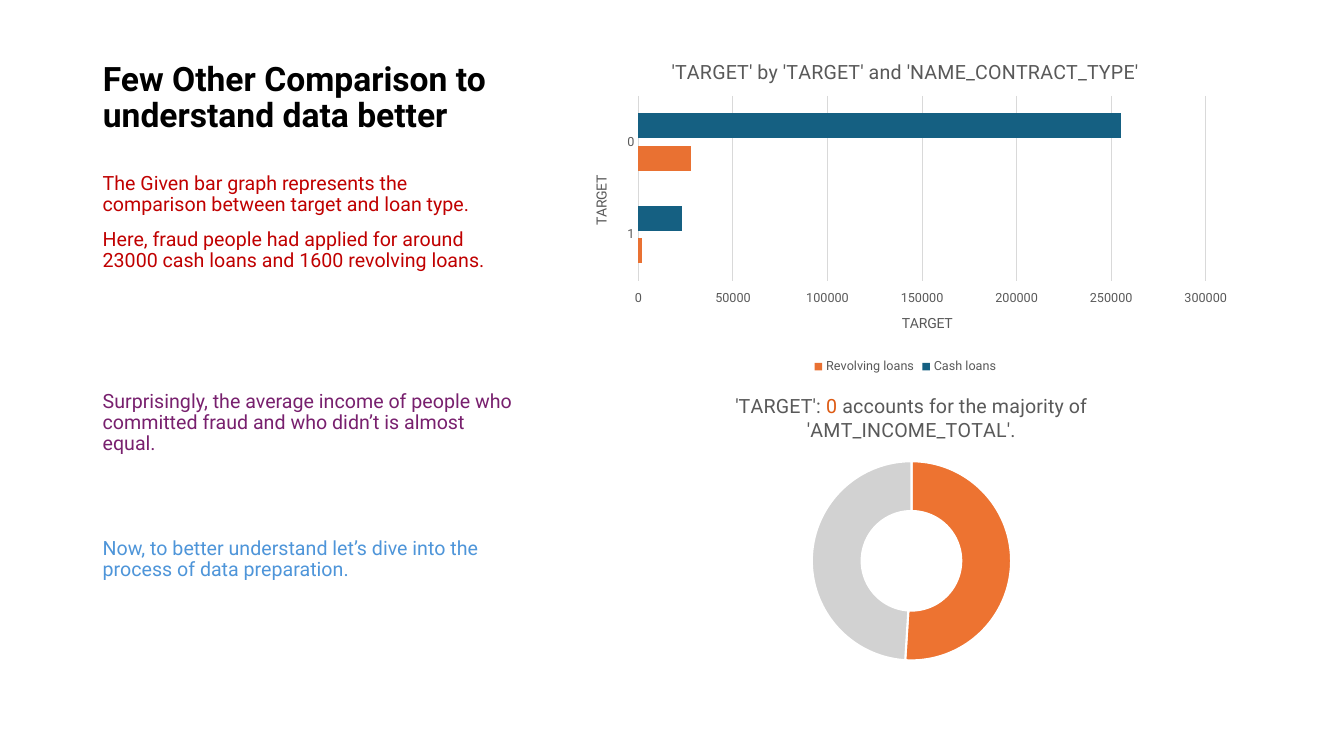
from lxml.etree import SubElement
from pptx import Presentation
from pptx.chart.data import CategoryChartData
from pptx.dml.color import RGBColor
from pptx.enum.chart import XL_CHART_TYPE, XL_LEGEND_POSITION, XL_TICK_LABEL_POSITION, XL_TICK_MARK
from pptx.enum.text import MSO_ANCHOR, MSO_AUTO_SIZE, PP_ALIGN
from pptx.oxml.ns import qn
from pptx.util import Inches, Pt

GRAY, ORANGE, BLUE, RED = "595959", "E97132", "156082", "C00000"


def color(value):
    return RGBColor.from_string(value)


def write(para, text, size=14, fill=GRAY, bold=False):
    """Add a formatted run to a paragraph."""
    run = para.add_run()
    run.text = text
    run.font.name = "Roboto"
    run.font.size = Pt(size)
    run.font.bold = bold
    run.font.color.rgb = color(fill)


deck = Presentation()
deck.slide_width, deck.slide_height = Inches(13.33), Inches(7.5)
slide = deck.slides.add_slide(deck.slide_layouts[5])

# Title
title = slide.shapes.title
title.left, title.top = Inches(0.92), Inches(0.5)
title.width, title.height = Inches(4.3), Inches(0.89)
frame = title.text_frame
frame.word_wrap = True
frame.auto_size = MSO_AUTO_SIZE.NONE
frame.vertical_anchor = MSO_ANCHOR.BOTTOM
para = frame.paragraphs[0]
para.alignment = PP_ALIGN.LEFT
para.line_spacing = 0.9
write(para, "Few Other Comparison to understand data better", size=24, fill="000000", bold=True)

# Findings: text, colour, space before
notes = [
    ("The Given bar graph represents the comparison between target and loan type.", RED, 10),
    ("Here, fraud people had applied for around 23000 cash loans and 1600 revolving loans.", RED, 10),
    ("Surprisingly, the average income of people who committed fraud and who didn’t is almost equal.",
     "78206E", 85),
    ("Now, to better understand let’s dive into the process of data preparation.", "4E95D9", 60),
]
box = slide.shapes.add_textbox(Inches(0.92), Inches(1.67), Inches(4.3), Inches(4.75))
frame = box.text_frame
frame.word_wrap = True
for i, (text, fill, gap) in enumerate(notes):
    para = frame.add_paragraph() if i else frame.paragraphs[0]
    para.line_spacing = 0.9
    para.space_before = Pt(gap)
    write(para, text, fill=fill)

# Bar chart of loans
data = CategoryChartData()
data.categories = ["0", "1"]
data.add_series("Cash loans", [255000, 23000])
data.add_series("Revolving loans", [28000, 2000])
bars = slide.shapes.add_chart(XL_CHART_TYPE.BAR_CLUSTERED, Inches(5.67), Inches(0.42),
                              Inches(6.62), Inches(3.33), data).chart
write(bars.chart_title.text_frame.paragraphs[0], "'TARGET' by 'TARGET' and 'NAME_CONTRACT_TYPE'")
plot = bars.plots[0]
plot.gap_width, plot.overlap = 140, -30
plot.vary_by_categories = False
for series, fill in zip(plot.series, (BLUE, ORANGE)):
    series.format.fill.solid()
    series.format.fill.fore_color.rgb = color(fill)

cats, vals = bars.category_axis, bars.value_axis
cats.reverse_order = True
cats.format.line.color.rgb = color("D9D9D9")
cats.format.line.width = Pt(0.75)
# Reversed categories put the high end at the bottom
vals.tick_label_position = XL_TICK_LABEL_POSITION.HIGH
vals.minimum_scale, vals.maximum_scale, vals.major_unit = 0, 300000, 50000
vals.format.line.fill.background()
vals.major_gridlines.format.line.color.rgb = color("D9D9D9")
vals.major_gridlines.format.line.width = Pt(0.75)
for axis in (cats, vals):
    axis.major_tick_mark = axis.minor_tick_mark = XL_TICK_MARK.NONE
    write(axis.axis_title.text_frame.paragraphs[0], "TARGET", size=10)

bars.has_legend = True
bars.legend.position = XL_LEGEND_POSITION.BOTTOM
bars.legend.include_in_layout = False
for part in (cats.tick_labels, vals.tick_labels, bars.legend):
    part.font.name = "Roboto"
    part.font.size = Pt(9)
    part.font.color.rgb = color(GRAY)

# Doughnut of income
data = CategoryChartData()
data.categories = ["1", "2"]
data.add_series("Series 1", [51, 49])
ring = slide.shapes.add_chart(XL_CHART_TYPE.DOUGHNUT, Inches(5.67), Inches(3.75),
                              Inches(6.74), Inches(2.95), data).chart
ring.has_legend = False
para = ring.chart_title.text_frame.paragraphs[0]
write(para, "'TARGET': ")
write(para, "0", fill="DD5A13")
write(para, " accounts for the majority of 'AMT_INCOME_TOTAL'.")
for i, fill in enumerate(("ED7331", "D2D2D2")):
    wedge = ring.plots[0].series[0].points[i].format
    wedge.fill.solid()
    wedge.fill.fore_color.rgb = color(fill)
    wedge.line.color.rgb = color("FFFFFF")
    wedge.line.width = Pt(1.5)

# Plot areas as shares of each chart: left, top, width, height
for chart, area in ((bars, (0.1, 0.16, 0.85, 0.55)), (ring, (0.35, 0.28, 0.3, 0.67))):
    chart.font.name = "Roboto"
    chart.font.size = Pt(10)
    chart.chart_title.include_in_layout = False
    zone = chart.plots[0]._element.getparent()
    for old in zone.findall(qn("c:layout")):
        zone.remove(old)
    layout = SubElement(zone, qn("c:layout"))
    zone.insert(0, layout)
    manual = SubElement(layout, qn("c:manualLayout"))
    settings = [("layoutTarget", "inner"), ("xMode", "edge"), ("yMode", "edge"), *zip("xywh", area)]
    for key, value in settings:
        SubElement(manual, qn("c:" + key)).set("val", str(value))

deck.save("out.pptx")
